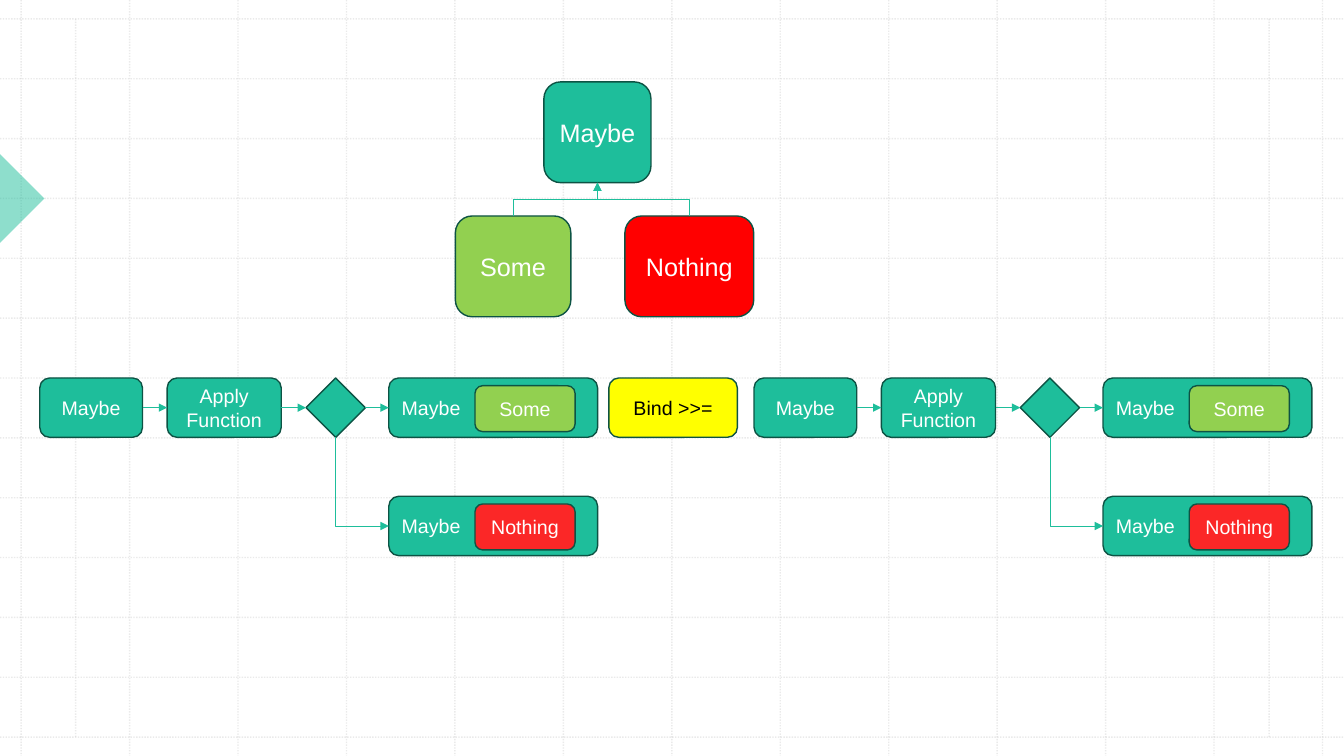
"""Build a slide showing the Maybe type and two bound Maybe flows."""
from lxml import etree
from pptx import Presentation
from pptx.dml.color import RGBColor
from pptx.enum import dml, shapes, text
from pptx.oxml.ns import qn
from pptx.util import Pt

HUES = {"teal": "1EBE9B", "edge": "0D5344", "green": "92D050", "red": "FF0000",
        "coral": "FB2727", "yellow": "FFFF00", "grid": "BCBCBC",
        "white": "FFFFFF", "black": "000000"}
KINDS = shapes.MSO_SHAPE
WIRES = shapes.MSO_CONNECTOR
TOP, LEFT, BOTTOM, RIGHT = range(4)

deck = Presentation()
deck.slide_width, deck.slide_height = Pt(960), Pt(540)
slide = deck.slides.add_slide(deck.slide_layouts[6])


def box(x, y, w, h, hue, words="", size=14, kind=KINDS.ROUNDED_RECTANGLE,
        ink="white", align=text.PP_ALIGN.CENTER):
    shape = slide.shapes.add_shape(kind, Pt(x), Pt(y), Pt(w), Pt(h))
    shape.shadow.inherit = False
    shape.fill.solid()
    shape.fill.fore_color.rgb = RGBColor.from_string(HUES[hue])
    shape.line.color.rgb = RGBColor.from_string(HUES["edge"])
    shape.line.width = Pt(1)
    if words:
        shape.text_frame.text = words
        for para in shape.text_frame.paragraphs:
            para.alignment = align
            para.font.name, para.font.size = "Arial", Pt(size)
            para.font.color.rgb = RGBColor.from_string(HUES[ink])
    return shape


def wire(kind, hue, width, x1=0, y1=0, x2=0, y2=0):
    line = slide.shapes.add_connector(kind, Pt(x1), Pt(y1), Pt(x2), Pt(y2))
    line.line.color.rgb = RGBColor.from_string(HUES[hue])
    line.line.width = Pt(width)
    etree.SubElement(line.element.spPr, qn("a:effectLst"))
    return line


spans = [(15.12 + 77.46 * i, 0, 15.12 + 77.46 * i, 540) for i in range(13)]
spans += [(0, 13.5 + 42.75 * i, 960, 13.5 + 42.75 * i) for i in range(13)]
spans += [(x, 13.5, x, 526.5) for x in (54, 906.5)]
faint = []
for span in spans:
    rule = wire(WIRES.STRAIGHT, "grid", 1, *span)
    rule.line.dash_style = dml.MSO_LINE.ROUND_DOT
    faint.append((rule, 30))

wedge = box(-22.4, 119.4, 44.8, 44.8, "teal", kind=KINDS.RIGHT_TRIANGLE)
wedge.rotation = 225
wedge.line.fill.background()
faint.append((wedge, 50))
for shape, share in faint:
    tint = shape.element.spPr.find(".//" + qn("a:srgbClr"))
    etree.SubElement(tint, qn("a:alpha"), val=str(share * 1000))

root = box(388.5, 58.5, 76.5, 72, "teal", "Maybe", 18)
some = box(325.3, 154.3, 82.5, 72, "green", "Some", 18)
none = box(446.4, 154.3, 92, 72, "red", "Nothing", 18)
links = [(some, TOP, root, BOTTOM, 90, ("flipH", "flipV"), "bentConnector3"),
         (none, TOP, root, BOTTOM, 270, ("flipV",), "bentConnector3")]

ROW, HIGH, DROP = 270, 42.4, 84.5
for x in (28.4, 538.6):
    start = box(x, ROW, 73.4, HIGH, "teal", "Maybe")
    apply = box(x + 91, ROW, 81.5, HIGH, "teal", "Apply\nFunction")
    fork = box(x + 190.2, ROW, HIGH, HIGH, "teal", kind=KINDS.DIAMOND)
    ends = []
    for y, hue, word in ((ROW, "green", "Some"), (ROW + DROP, "coral", "Nothing")):
        ends.append(box(x + 249.3, y, 149.2, HIGH, "teal", "Maybe",
                        align=text.PP_ALIGN.LEFT))
        box(x + 310.9, y + 5.5, 71.5, 32.8, hue, word)
    links += [(start, RIGHT, apply, LEFT, 0, (), ""),
              (apply, RIGHT, fork, LEFT, 0, (), ""),
              (fork, RIGHT, ends[0], LEFT, 0, (), ""),
              (fork, BOTTOM, ends[1], LEFT, 270, ("flipH",), "bentConnector2")]
box(434.9, ROW, 91.8, HIGH, "yellow", "Bind >>=", ink="black")

for tail, out, head, into, turn, flips, bend in links:
    arrow = wire(WIRES.ELBOW if bend else WIRES.STRAIGHT, "teal", 0.5)
    arrow.begin_connect(tail, out)
    arrow.end_connect(head, into)
    props = arrow.element.spPr
    etree.SubElement(props.find(qn("a:ln")), qn("a:tailEnd"), type="triangle")
    if bend:
        wide, tall = arrow.width, arrow.height
        arrow.left += (wide - tall) // 2
        arrow.top += (tall - wide) // 2
        arrow.width, arrow.height = tall, wide
        frame = props.find(qn("a:xfrm"))
        for name in ("flipH", "flipV"):
            frame.set(name, str(int(name in flips)))
        frame.set("rot", str(turn * 60000))
        props.find(qn("a:prstGeom")).set("prst", bend)

deck.save("out.pptx")
